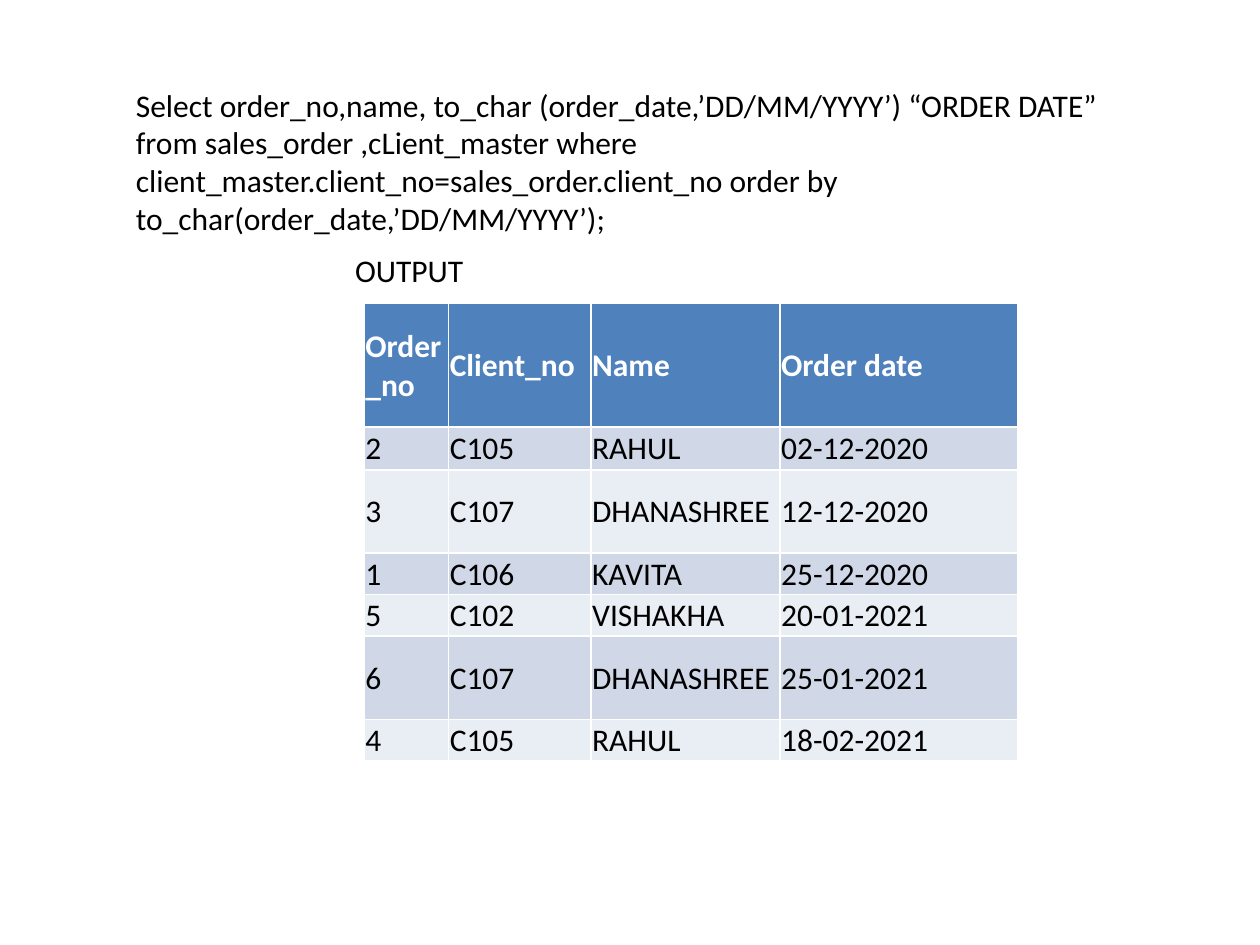
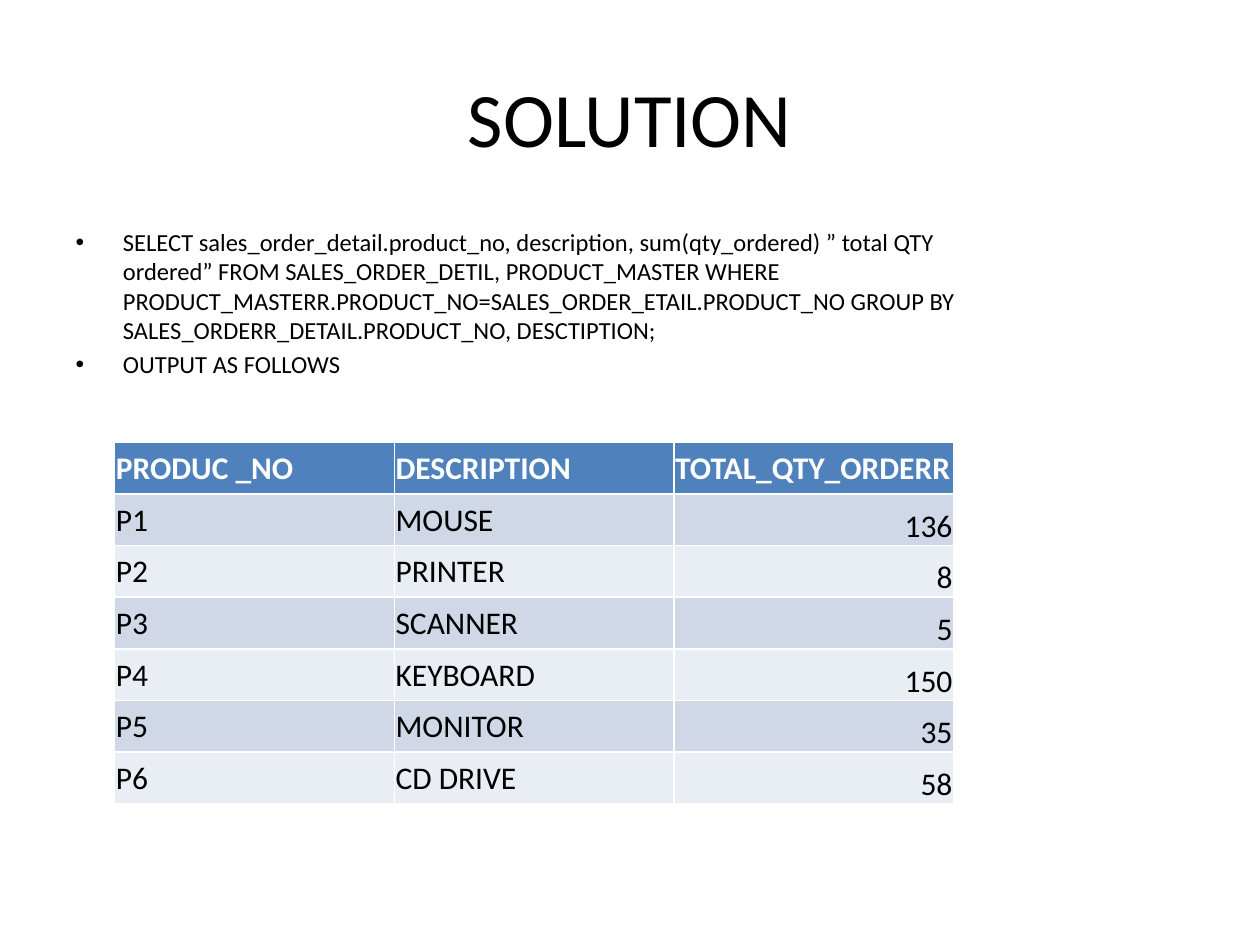
"""Build two slides of SQL queries with their result tables."""
from pptx import Presentation as Deck
from pptx.dml.color import RGBColor as Rgb
from pptx.enum.text import MSO_ANCHOR as Anchor, MSO_AUTO_SIZE as Auto, PP_ALIGN as Align
from pptx.util import Inches, Pt

HUES = {"head": "4F81BD", "odd": "D0D8E8", "even": "E9EDF4", "ink": "000000", "pale": "FFFFFF"}
FONT = "Calibri"
PAD = {"margin_left": 0.01, "margin_right": 0.01, "margin_top": 0.01, "margin_bottom": 0}

ORDERS = [
    ("Order_no", "Client_no", "Name", "Order date"),
    ("2", "C105", "RAHUL", "02-12-2020"),
    ("3", "C107", "DHANASHREE", "12-12-2020"),
    ("1", "C106", "KAVITA", "25-12-2020"),
    ("5", "C102", "VISHAKHA", "20-01-2021"),
    ("6", "C107", "DHANASHREE", "25-01-2021"),
    ("4", "C105", "RAHUL", "18-02-2021"),
]
STOCK = [
    ("PRODUC _NO", "DESCRIPTION", "TOTAL_QTY_ORDERR"),
    ("P1", "MOUSE", "136"),
    ("P2", "PRINTER", "8"),
    ("P3", "SCANNER", "5"),
    ("P4", "KEYBOARD", "150"),
    ("P5", "MONITOR", "35"),
    ("P6", "CD DRIVE", "58"),
]
QUERY = (
    "Select order_no,name, to_char (order_date,’DD/MM/YYYY’) “ORDER DATE” "
    "from sales_order ,cLient_master where "
    "client_master.client_no=sales_order.client_no order by "
    "to_char(order_date,’DD/MM/YYYY’);"
)
STEPS = [
    "SELECT sales_order_detail.product_no, description, sum(qty_ordered) ” total QTY "
    "ordered” FROM SALES_ORDER_DETIL, PRODUCT_MASTER WHERE "
    "PRODUCT_MASTERR.PRODUCT_NO=SALES_ORDER_ETAIL.PRODUCT_NO GROUP BY "
    "SALES_ORDERR_DETAIL.PRODUCT_NO, DESCTIPTION;",
    "OUTPUT AS FOLLOWS",
]


def put(item, form):
    """Set each attribute named in a dict of format values."""
    for name, value in form.items():
        setattr(item, name, value)


def place(shape, box):
    """Move and size a shape by a box in inches."""
    put(shape, dict(zip(("left", "top", "width", "height"), map(Inches, box))))


def write(frame, lines, size, hue="ink", bold=False, align=None):
    """Fill a text frame with one styled paragraph a line."""
    for i, line in enumerate(lines):
        para = frame.paragraphs[0] if i == 0 else frame.add_paragraph()
        if align is not None:
            para.alignment = align
        run = para.add_run()
        run.text = line
        put(run.font, {"name": FONT, "size": Pt(size), "bold": bold})
        run.font.color.rgb = Rgb.from_string(HUES[hue])


def note(slide, text, box):
    """Add a wrapped text box that grows with its text."""
    frame = slide.shapes.add_textbox(*map(Inches, box)).text_frame
    put(frame, {"word_wrap": True, "auto_size": Auto.SHAPE_TO_FIT_TEXT})
    write(frame, [text], 18)


def grid(slide, data, spot, cols, rows):
    """Add a banded table whose plain numbers in the last column sit low right."""
    box = (*spot, sum(cols), sum(rows))
    table = slide.shapes.add_table(len(rows), len(cols), *map(Inches, box)).table
    for col, width in zip(table.columns, cols):
        col.width = Inches(width)
    for r, (row, high) in enumerate(zip(data, rows)):
        table.rows[r].height = Inches(high)
        band = "head" if r == 0 else "odd" if r % 2 else "even"
        for c, text in enumerate(row):
            cell = table.cell(r, c)
            count = c == len(cols) - 1 and text.isdigit()
            put(cell, {side: Inches(gap) for side, gap in PAD.items()})
            cell.vertical_anchor = Anchor.BOTTOM if count else Anchor.MIDDLE
            cell.fill.solid()
            cell.fill.fore_color.rgb = Rgb.from_string(HUES[band])
            write(cell.text_frame, [text], 18, "ink" if r else "pale", r == 0,
                  Align.RIGHT if count else Align.LEFT)


def orders(deck):
    """Build the slide of orders sorted by date."""
    slide = deck.slides.add_slide(deck.slide_layouts[6])
    grid(slide, ORDERS, (2.89, 2.41), (0.67, 1.13, 1.5, 1.89),
         (0.98, 0.34, 0.66, 0.33, 0.33, 0.66, 0.33))
    note(slide, "OUTPUT", (2.72, 1.94, 1.81, 0.4))
    note(slide, QUERY, (0.98, 0.63, 8.35, 1.31))


def stock(deck):
    """Build the slide of total quantity by product."""
    slide = deck.slides.add_slide(deck.slide_layouts[1])
    title, body = slide.placeholders
    place(title, (0.5, 0.3, 9, 1.25))
    write(title.text_frame, ["SOLUTION"], 44, align=Align.CENTER)
    place(body, (0.5, 1.75, 7.49, 4.95))
    write(body.text_frame, STEPS, 14)
    grid(slide, STOCK, (0.91, 3.51), [2.22] * 3, [0.41] * len(STOCK))


def main():
    """Build and save the deck."""
    deck = Deck()
    put(deck, {"slide_width": Inches(10), "slide_height": Inches(7.5)})
    orders(deck)
    stock(deck)
    deck.save("out.pptx")


main()
